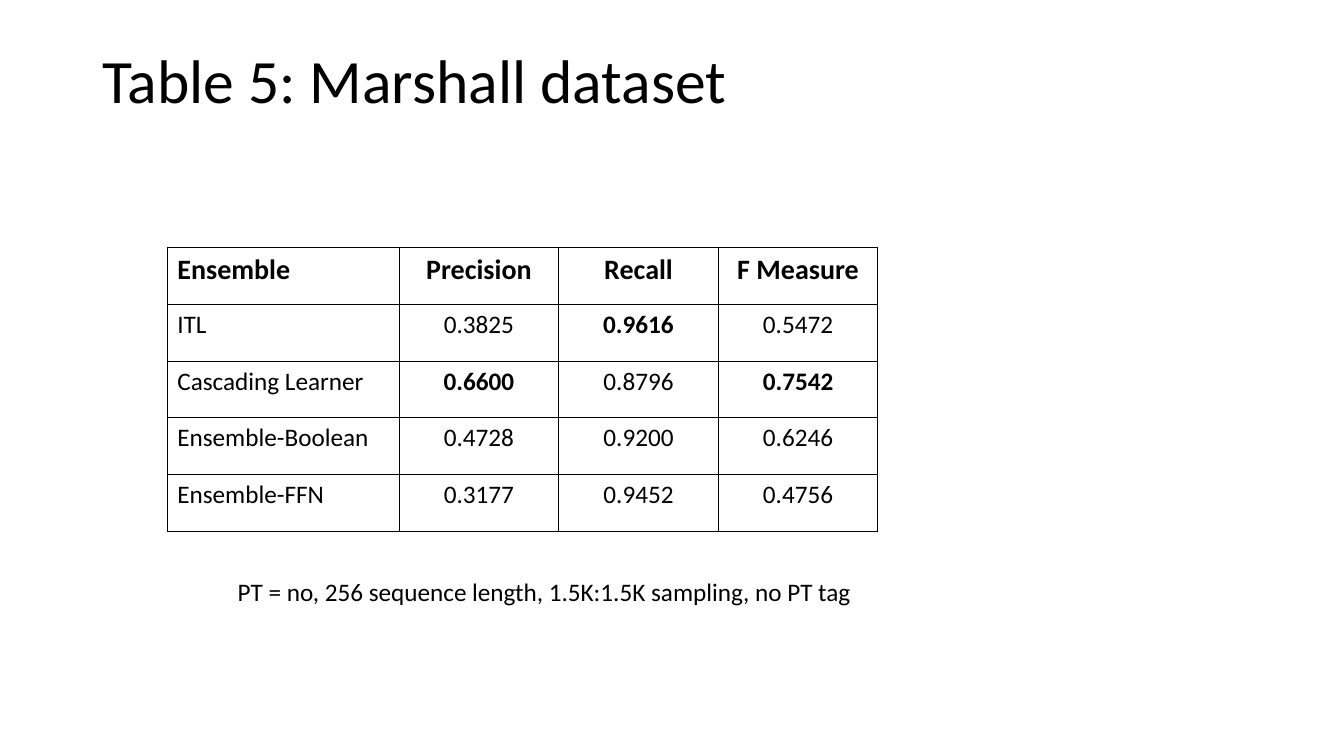
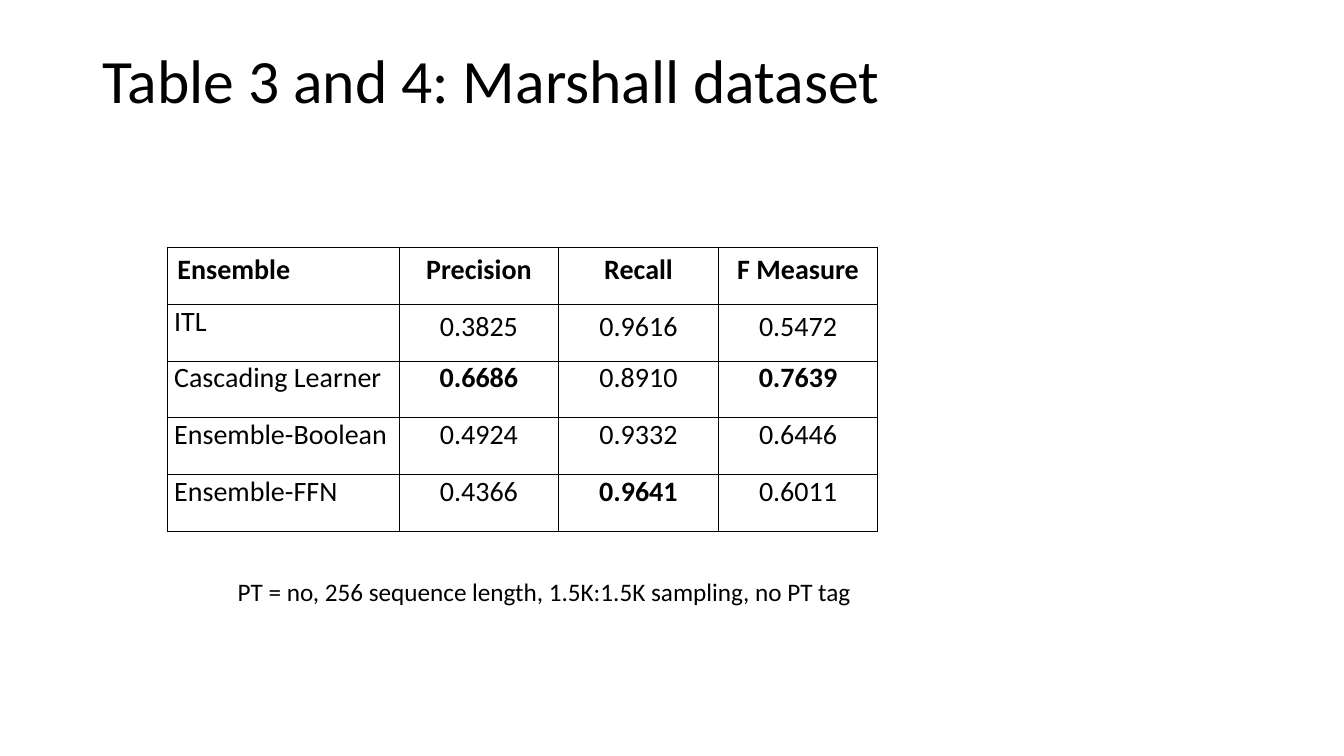
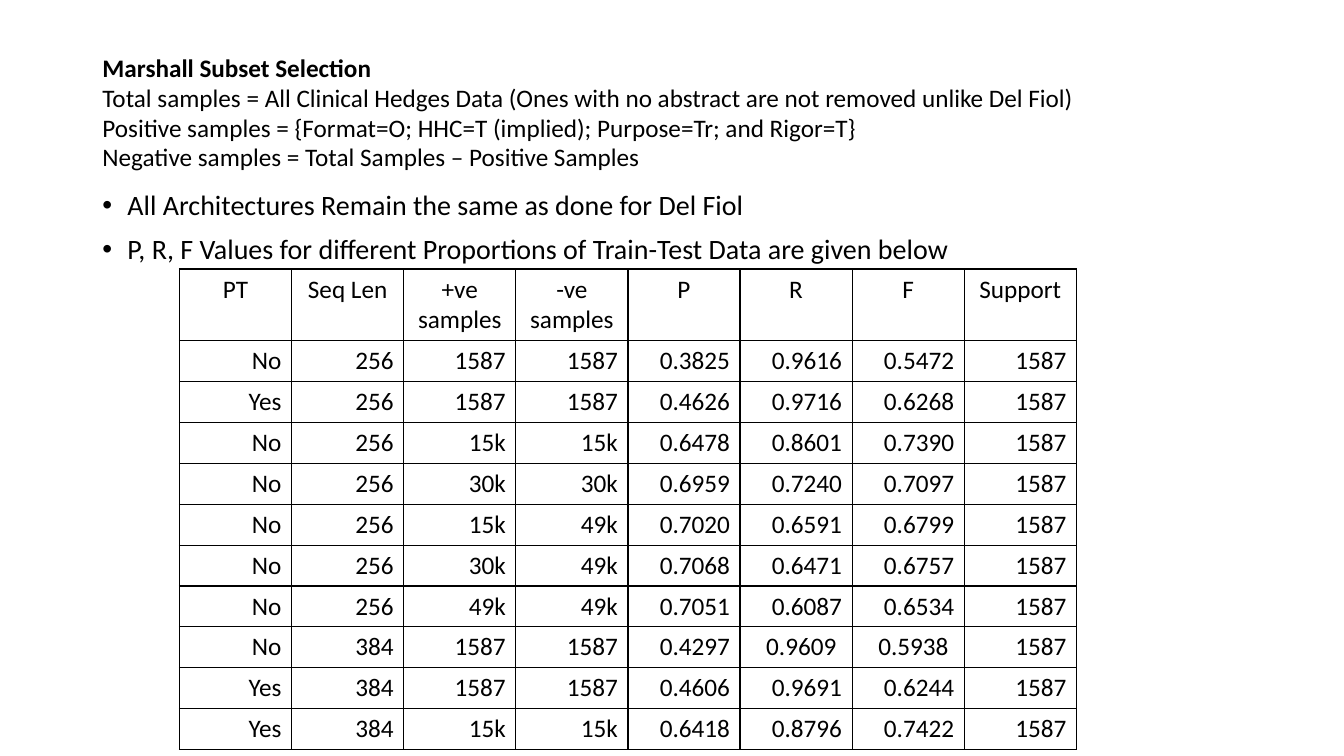
from dataclasses import dataclass

from lxml.etree import SubElement
from pptx import Presentation
from pptx.dml.color import RGBColor
from pptx.enum.text import MSO_ANCHOR as Anchor, MSO_AUTO_SIZE as AutoSize, PP_ALIGN as Align
from pptx.oxml.ns import qn
from pptx.util import Pt

# Shared look
BLACK = RGBColor(0x00, 0x00, 0x00)
FONT = "Calibri"
MARGIN, TITLE_TOP, CONTENT_WIDTH = 66, 28.8, 828
BORDER_WIDTH = 1
CELL_INSET, CELL_INSET_TOP = 7.2, 3.6
TIGHT_INSET = 4.9
SETUP_NOTE = "PT = no, 256 sequence length, 1.5K:1.5K sampling, no PT tag"


@dataclass
class Line:
    text: str
    size: float
    bold: bool = False


@dataclass
class Grid:
    left: float
    top: float
    column_widths: list[float]
    row_heights: list[float]


@dataclass
class Entry:
    line: Line
    align: Align
    tight: bool = False


@dataclass
class Comparison:
    title: str
    scores: list[tuple[str, str, str, str]]
    size: float
    tight: bool  # smaller insets in the score rows


def write_line(paragraph, line: Line) -> None:
    run = paragraph.add_run()
    run.text = line.text
    run.font.name = FONT
    run.font.size = Pt(line.size)
    run.font.bold = line.bold
    run.font.color.rgb = BLACK


def write_lines(frame, lines: list[Line], spacing: float) -> list:
    """Write one paragraph per line and return the paragraphs."""
    paragraphs = [frame.paragraphs[0]] + [frame.add_paragraph() for _ in lines[1:]]
    for paragraph, line in zip(paragraphs, lines):
        paragraph.alignment = Align.LEFT
        paragraph.line_spacing = spacing
        write_line(paragraph, line)
    return paragraphs


def add_titled_slide(prs, lines: list[Line], height: float, spacing: float):
    slide = prs.slides.add_slide(prs.slide_layouts[5])
    title = slide.shapes.title
    title.left, title.top = Pt(MARGIN), Pt(TITLE_TOP)
    title.width, title.height = Pt(CONTENT_WIDTH), Pt(height)
    title.text_frame.auto_size = AutoSize.NONE
    title.text_frame.vertical_anchor = Anchor.MIDDLE
    write_lines(title.text_frame, lines, spacing)
    return slide


def add_border(cell) -> None:
    properties = cell._tc.get_or_add_tcPr()
    for side in ("a:lnL", "a:lnR", "a:lnT", "a:lnB"):
        edge = SubElement(properties, qn(side), w=str(Pt(BORDER_WIDTH)))
        fill = SubElement(edge, qn("a:solidFill"))
        SubElement(fill, qn("a:srgbClr"), val=str(BLACK))


def fill_cell(cell, entry: Entry) -> None:
    add_border(cell)
    cell.fill.background()
    cell.margin_left = cell.margin_right = Pt(TIGHT_INSET if entry.tight else CELL_INSET)
    cell.margin_top = cell.margin_bottom = Pt(0 if entry.tight else CELL_INSET_TOP)
    paragraph = cell.text_frame.paragraphs[0]
    paragraph.alignment = entry.align
    write_line(paragraph, entry.line)


def add_grid(slide, grid: Grid, entries: list[list[Entry]]) -> None:
    table = slide.shapes.add_table(
        len(grid.row_heights), len(grid.column_widths), Pt(grid.left), Pt(grid.top),
        Pt(sum(grid.column_widths)), Pt(sum(grid.row_heights))).table
    table.first_row = table.horz_banding = False
    for column, width in zip(table.columns, grid.column_widths):
        column.width = Pt(width)
    for row, height, row_entries in zip(table.rows, grid.row_heights, entries):
        row.height = Pt(height)
        for cell, entry in zip(row.cells, row_entries):
            fill_cell(cell, entry)


# Ensemble comparisons
COMPARISON_HEADER = ("Ensemble", "Precision", "Recall", "F Measure")
COMPARISON_GRID = Grid(119.5, 177, [165.6] + [114] * 3, [40.5] * 5)
COMPARISONS = [
    Comparison("Table 5: Marshall dataset", [
        ("ITL", "0.3825", "0.9616", "0.5472"),
        ("Cascading Learner", "0.6600", "0.8796", "0.7542"),
        ("Ensemble-Boolean", "0.4728", "0.9200", "0.6246"),
        ("Ensemble-FFN", "0.3177", "0.9452", "0.4756"),
    ], size=18, tight=False),
    Comparison("Table 3 and 4: Marshall dataset", [
        ("ITL", "0.3825", "0.9616", "0.5472"),
        ("Cascading Learner", "0.6686", "0.8910", "0.7639"),
        ("Ensemble-Boolean", "0.4924", "0.9332", "0.6446"),
        ("Ensemble-FFN", "0.4366", "0.9641", "0.6011"),
    ], size=20, tight=True),
]


def comparison_entries(comparison: Comparison) -> list[list[Entry]]:
    """Header in bold; the best score of each column in bold."""
    aligns = [Align.LEFT] + [Align.CENTER] * 3
    best = [None] + [max(column) for column in list(zip(*comparison.scores))[1:]]
    entries = [[Entry(Line(name, 20, True), align)
                for name, align in zip(COMPARISON_HEADER, aligns)]]
    for number, scores in enumerate(comparison.scores):
        # The scores of the first row keep the wide insets
        entries.append([
            Entry(Line(score, comparison.size, score == top), align,
                  comparison.tight and (number > 0 or align == Align.LEFT))
            for score, top, align in zip(scores, best, aligns)])
    return entries


def add_comparison(prs, comparison: Comparison) -> None:
    slide = add_titled_slide(prs, [Line(comparison.title, 44)], 62, 0.9)
    add_grid(slide, COMPARISON_GRID, comparison_entries(comparison))
    note = slide.shapes.add_textbox(Pt(162.7), Pt(408.2), Pt(458), Pt(29)).text_frame
    note.word_wrap = False
    note.auto_size = AutoSize.SHAPE_TO_FIT_TEXT
    write_lines(note, [Line(SETUP_NOTE, 18)], 1.0)


# Subset selection
SELECTION_RULES = [
    Line("Marshall Subset Selection", 18, True),
    Line("Total samples = All Clinical Hedges Data "
         "(Ones with no abstract are not removed unlike Del Fiol)", 18),
    Line("Positive samples = {Format=O; HHC=T (implied); Purpose=Tr; and Rigor=T}", 18),
    Line("Negative samples = Total Samples – Positive Samples", 18),
]
REMARKS = [
    Line("All Architectures Remain the same as done for Del Fiol", 20),
    Line("P, R, F Values for different Proportions of Train-Test Data are given below", 20),
]
PROPORTION_HEADER = ("PT", "Seq Len", "+ve samples", "-ve samples", "P", "R", "F", "Support")
SUPPORT = "1587"
PROPORTIONS = [
    ("No", "256", "1587", "1587", "0.3825", "0.9616", "0.5472"),
    ("Yes", "256", "1587", "1587", "0.4626", "0.9716", "0.6268"),
    ("No", "256", "15k", "15k", "0.6478", "0.8601", "0.7390"),
    ("No", "256", "30k", "30k", "0.6959", "0.7240", "0.7097"),
    ("No", "256", "15k", "49k", "0.7020", "0.6591", "0.6799"),
    ("No", "256", "30k", "49k", "0.7068", "0.6471", "0.6757"),
    ("No", "256", "49k", "49k", "0.7051", "0.6087", "0.6534"),
    ("No", "384", "1587", "1587", "0.4297", "0.9609 ", "0.5938 "),
    ("Yes", "384", "1587", "1587", "0.4606", "0.9691", "0.6244"),
    ("Yes", "384", "15k", "15k", "0.6418", "0.8796", "0.7422"),
]
PROPORTION_GRID = Grid(128.2, 192.2, [80.1] * len(PROPORTION_HEADER),
                       [51.2] + [29.2] * len(PROPORTIONS))


def add_bullet(paragraph, indent: float) -> None:
    properties = paragraph._p.get_or_add_pPr()
    properties.set("marL", str(Pt(indent)))
    properties.set("indent", str(-Pt(indent)))
    SubElement(properties, qn("a:buFont"), typeface="Arial")
    SubElement(properties, qn("a:buChar"), char="•")


def add_subset_selection(prs) -> None:
    slide = add_titled_slide(prs, SELECTION_RULES, 104.4, 0.98)
    remarks = slide.shapes.add_textbox(
        Pt(MARGIN), Pt(133.2), Pt(CONTENT_WIDTH), Pt(353.5)).text_frame
    remarks.word_wrap = True
    paragraphs = write_lines(remarks, REMARKS, 0.9)
    for paragraph in paragraphs[1:]:
        paragraph.space_before = Pt(10)
    for paragraph in paragraphs:
        add_bullet(paragraph, 18)
    entries = [[Entry(Line(name, 18), Align.CENTER) for name in PROPORTION_HEADER]]
    entries += [[Entry(Line(value, 18), Align.RIGHT) for value in (*values, SUPPORT)]
                for values in PROPORTIONS]
    add_grid(slide, PROPORTION_GRID, entries)


def main() -> None:
    prs = Presentation()
    prs.slide_width, prs.slide_height = Pt(960), Pt(540)
    for comparison in COMPARISONS:
        add_comparison(prs, comparison)
    add_subset_selection(prs)
    prs.save("out.pptx")


if __name__ == "__main__":
    main()
